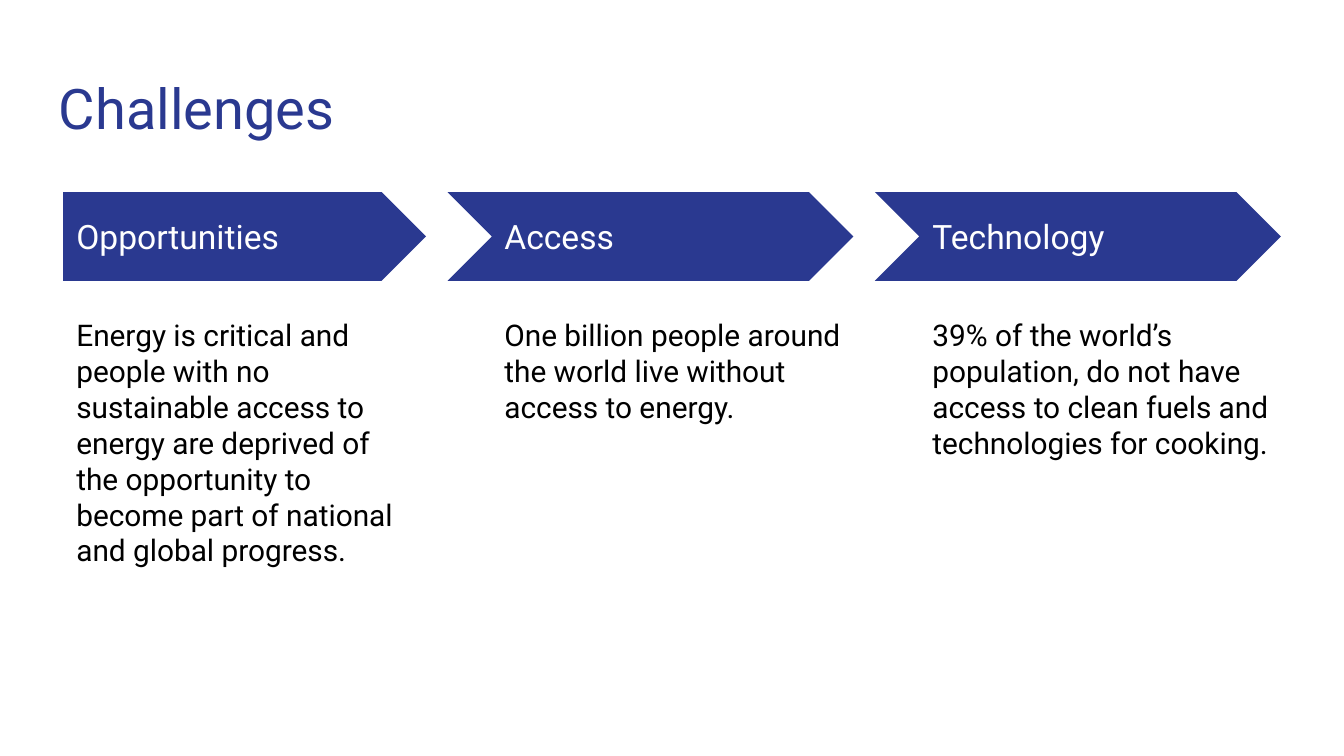
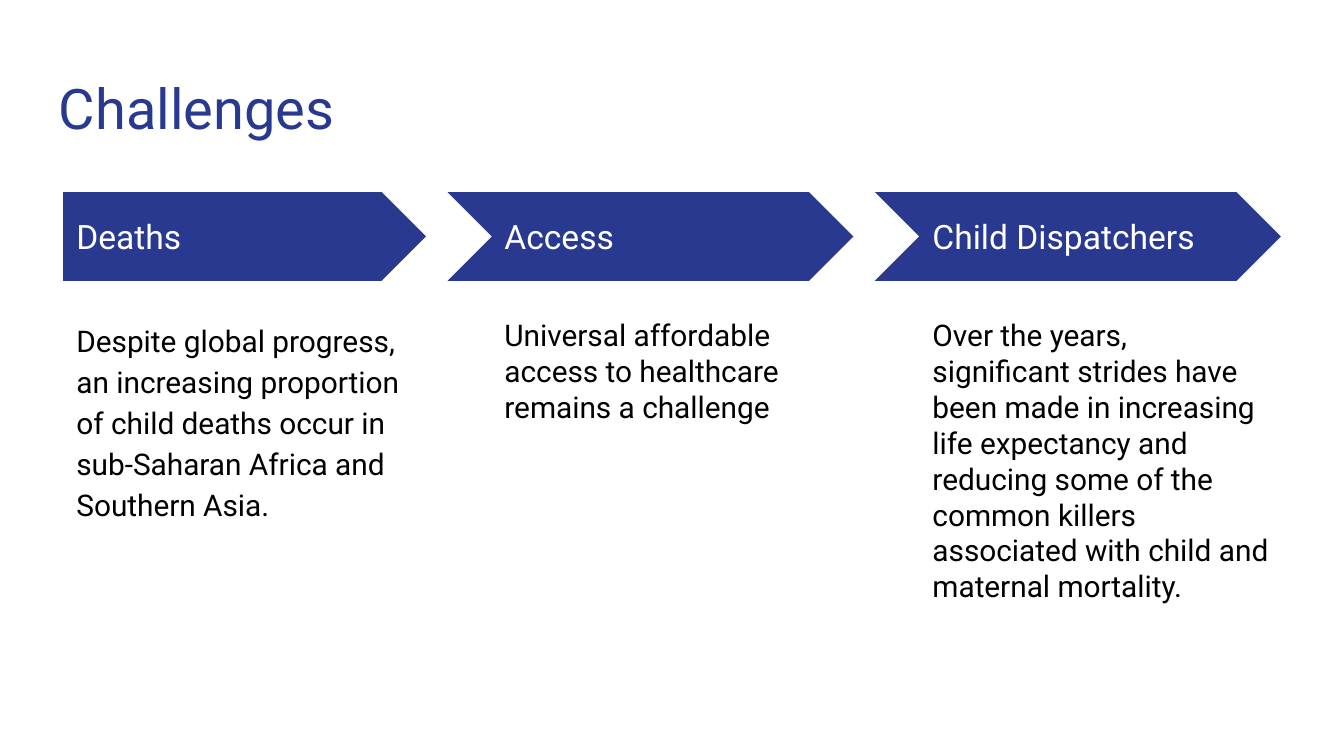
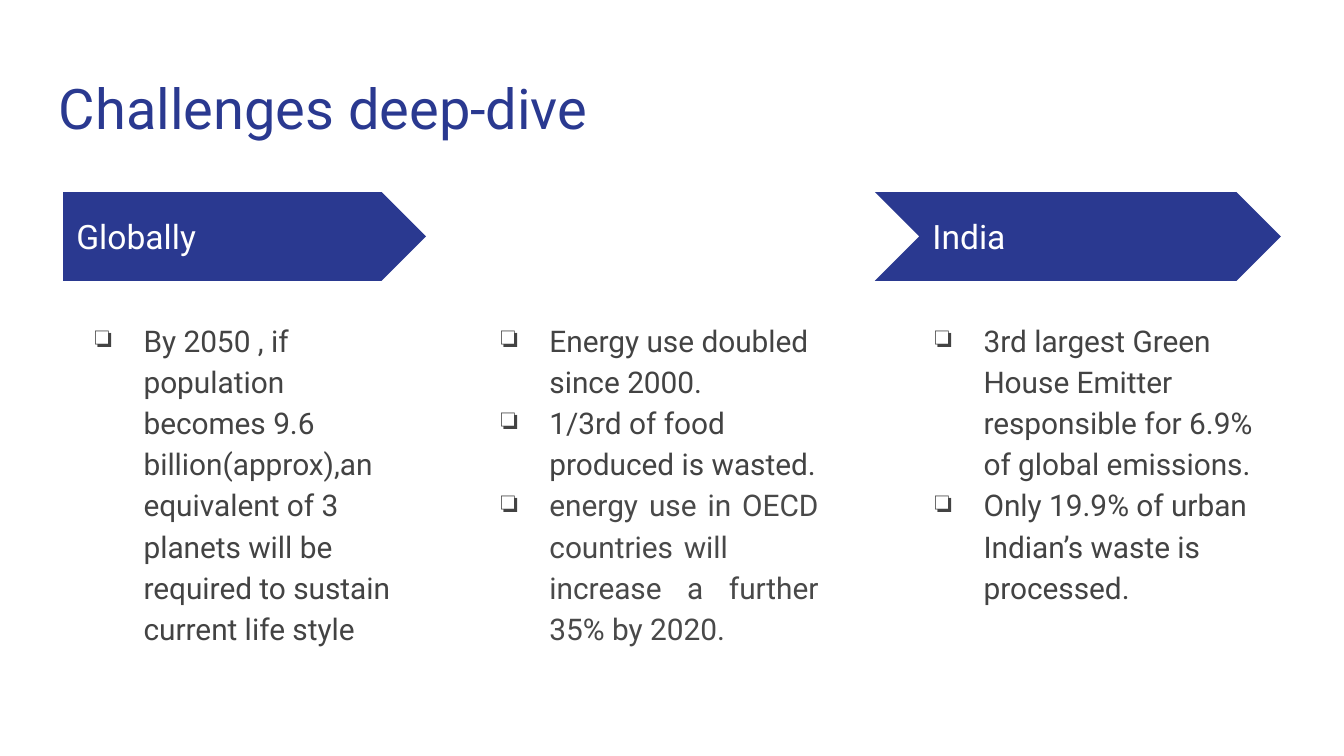
from lxml.etree import SubElement
from pptx import Presentation
from pptx.dml.color import RGBColor
from pptx.enum.shapes import MSO_SHAPE as Shape
from pptx.enum.text import MSO_ANCHOR as Anchor, PP_ALIGN as Align
from pptx.oxml.ns import qn
from pptx.util import Pt

EMU_PER_PX = 4572
FONT = "Roboto"
COLOURS = {
    "indigo": "2A3990",
    "white": "FFFFFF",
    "black": "000000",
    "charcoal": "434343",
    "grey": "494949",
}
INSET = 20
COLUMN_LEFT, COLUMN_STEP, COLUMN_WIDTH = 94, 637, 540
ARROW_TOP, ARROW_HEIGHT = 286, 132
CHEVRON_LEFT, CHEVRON_STEP, CHEVRON_WIDTH = 30, 636, 604
LABEL_TOP, LABEL_WIDTH, LABEL_HEIGHT = 318, 494, 68
BODY_TOP, BODY_HEIGHT = 452, 580

CHALLENGES = [
    [
        ("Opportunities", "Energy is critical and people with no sustainable access to energy "
         "are deprived of the opportunity to become part of national and global progress.", 1.0),
        ("Access", "One billion people around the world live without access to energy.", 1.0),
        ("Technology", "39% of the world’s population, do not have access to clean fuels "
         "and technologies for cooking.", 1.0),
    ],
    [
        ("Deaths", "Despite global progress, an increasing proportion of child deaths occur in "
         "sub-Saharan Africa and Southern Asia.", 1.15),
        ("Access", "Universal affordable access to healthcare remains a challenge", 1.0),
        ("Child Dispatchers", "Over the years, significant strides have been made in increasing "
         "life expectancy and reducing some of the common killers associated with child and "
         "maternal mortality.", 1.0),
    ],
]
GLOBAL_FOOTPRINT = ["By 2050 , if population becomes 9.6 billion(approx),an equivalent of 3 "
                    "planets will be required to sustain current life style"]
GLOBAL_USE = ["Energy use doubled since 2000.", "1/3rd of food produced is wasted."]
OECD_USE = "energy use in OECD countries\twill increase a further 35% by 2020."
INDIA = ["3rd largest Green House Emitter responsible for 6.9% of global emissions.",
         "Only 19.9% of urban Indian’s waste is processed."]


def px(*lengths):
    return [round(length * EMU_PER_PX) for length in lengths]


def colour(name):
    return RGBColor.from_string(COLOURS[name])


def add_bullet(paragraph):
    properties = paragraph._p.get_or_add_pPr()
    margin, indent = px(100, -72)
    properties.set("marL", str(margin))
    properties.set("indent", str(indent))
    bullet_colour = SubElement(properties, qn("a:buClr"))
    SubElement(bullet_colour, qn("a:srgbClr")).set("val", COLOURS["charcoal"])
    SubElement(properties, qn("a:buChar")).set("char", "❏")


def write(paragraph, text, size=16, ink="black", spacing=1.0, align=Align.LEFT, bullet=False):
    if bullet:
        add_bullet(paragraph)
    paragraph.alignment = align
    paragraph.line_spacing = spacing
    run = paragraph.add_run()
    run.text = text
    run.font.name = FONT
    run.font.size = Pt(size)
    run.font.color.rgb = colour(ink)


def add_frame(slide, left, top, width, height, anchor=Anchor.TOP):
    frame = slide.shapes.add_textbox(*px(left, top, width, height)).text_frame
    frame.word_wrap = True
    frame.vertical_anchor = anchor
    (inset,) = px(INSET)
    frame.margin_left = frame.margin_right = inset
    frame.margin_top = frame.margin_bottom = inset
    return frame


def add_title(slide, text):
    frame = add_frame(slide, 68, 90, 1864, 132)
    write(frame.paragraphs[0], text, size=30, ink="indigo")


def column_left(column):
    return COLUMN_LEFT + column * COLUMN_STEP


def add_heading(slide, column, text):
    if column == 0:
        kind, left, width = Shape.PENTAGON, COLUMN_LEFT, COLUMN_WIDTH
    else:
        kind, left, width = Shape.CHEVRON, CHEVRON_LEFT + column * CHEVRON_STEP, CHEVRON_WIDTH
    arrow = slide.shapes.add_shape(kind, *px(left, ARROW_TOP, width, ARROW_HEIGHT))
    arrow.shadow.inherit = False
    arrow.fill.solid()
    arrow.fill.fore_color.rgb = colour("indigo")
    arrow.line.fill.background()
    label = add_frame(slide, column_left(column), LABEL_TOP, LABEL_WIDTH, LABEL_HEIGHT,
                      Anchor.MIDDLE)
    write(label.paragraphs[0], text, size=18, ink="white")


def add_body(slide, column, text, spacing):
    frame = add_frame(slide, column_left(column), BODY_TOP, COLUMN_WIDTH, BODY_HEIGHT)
    write(frame.paragraphs[0], text, spacing=spacing)


def add_bullets(slide, left, items, height=BODY_HEIGHT):
    frame = add_frame(slide, left, BODY_TOP, COLUMN_WIDTH, height)
    for index, item in enumerate(items):
        paragraph = frame.add_paragraph() if index else frame.paragraphs[0]
        write(paragraph, item, ink="charcoal", spacing=1.15, bullet=True)
    return frame


def add_slide(presentation, title):
    slide = presentation.slides.add_slide(presentation.slide_layouts[6])
    add_title(slide, title)
    return slide


def add_challenges(presentation, columns):
    slide = add_slide(presentation, "Challenges")
    for column, (heading, body, spacing) in enumerate(columns):
        add_heading(slide, column, heading)
        add_body(slide, column, body, spacing)


def add_deep_dive(presentation):
    slide = add_slide(presentation, "Challenges deep-dive")
    add_heading(slide, 0, "Globally")
    add_bullets(slide, COLUMN_LEFT, GLOBAL_FOOTPRINT, height=672)
    add_bullets(slide, 1344, INDIA)
    add_heading(slide, 2, "India")
    frame = add_bullets(slide, 698, GLOBAL_USE)
    write(frame.add_paragraph(), OECD_USE, ink="grey", spacing=1.15,
          align=Align.JUSTIFY, bullet=True)


def main():
    presentation = Presentation()
    presentation.slide_width, presentation.slide_height = px(2000, 1125)
    for columns in CHALLENGES:
        add_challenges(presentation, columns)
    add_deep_dive(presentation)
    presentation.save("out.pptx")


if __name__ == "__main__":
    main()
